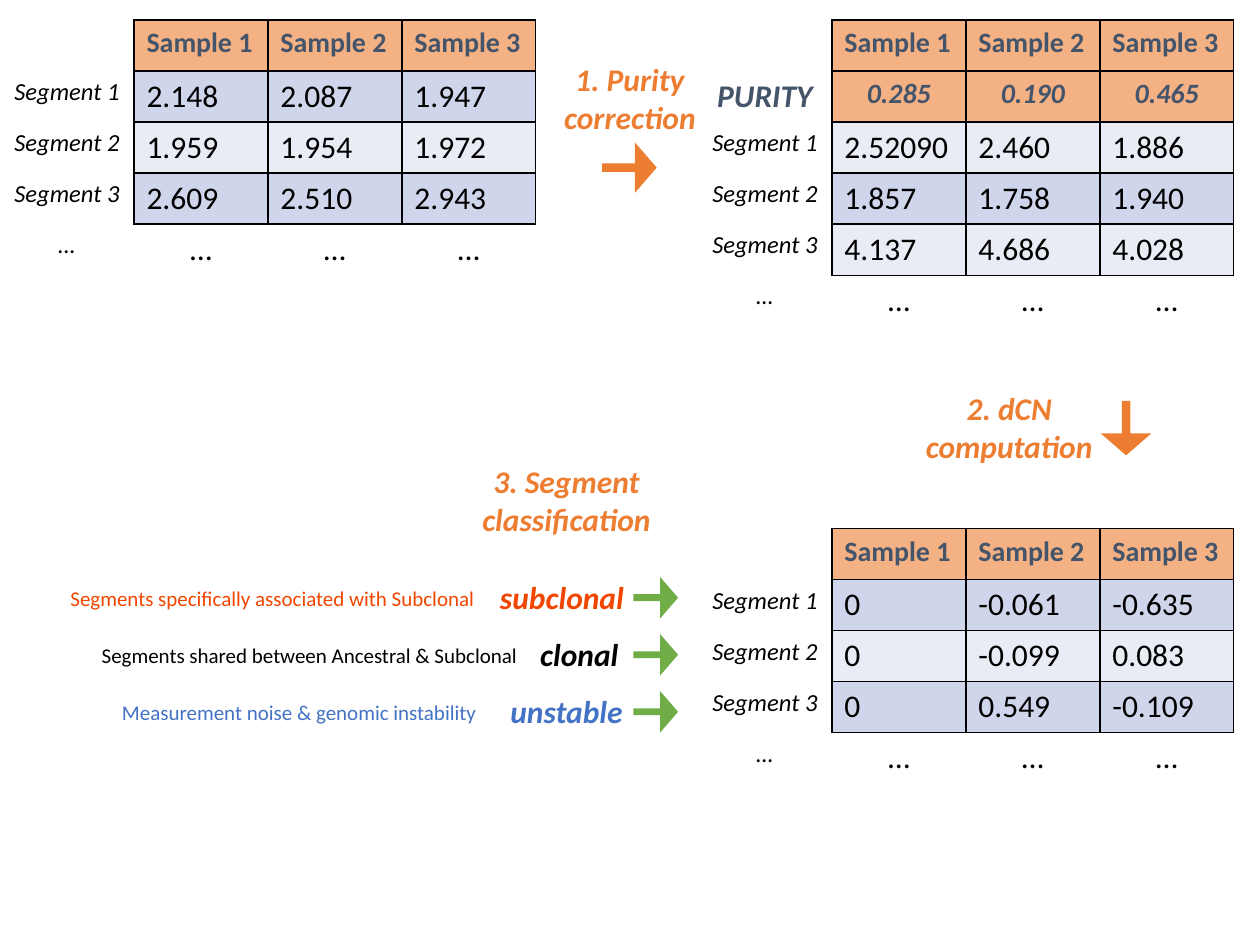
from lxml import etree
from pptx import Presentation
from pptx.dml.color import RGBColor
from pptx.enum.shapes import MSO_SHAPE
from pptx.enum.text import PP_ALIGN
from pptx.oxml.ns import qn
from pptx.util import Cm, Pt

RIGHT_ARROW = MSO_SHAPE.RIGHT_ARROW
LEFT, CENTER = PP_ALIGN.LEFT, PP_ALIGN.CENTER

FONT = "Calibri"
BLACK, SLATE, PEACH = "000000", "44546A", "F4B183"
ORANGE, GREEN, RED, BLUE = "ED7D31", "70AD47", "F14600", "4472C4"
BANDS = ("E9EBF5", "CFD5EA")
COL_W, ROW_H = 2.7, 1.03
SAMPLES = ["", "Sample 1", "Sample 2", "Sample 3"]
MORE = ["…"] * 4


def rgb(value):
    return RGBColor.from_string(value)


def write(tf, text, size=18, color=BLACK, bold=False, italic=False, align=LEFT):
    """Fill a text frame, one paragraph for each line of text."""
    for i, line in enumerate(text.split("\n")):
        p = tf.paragraphs[0] if i == 0 else tf.add_paragraph()
        p.alignment = align
        r = p.add_run()
        r.text = line
        r.font.name, r.font.size = FONT, Pt(size)
        r.font.bold, r.font.italic = bold, italic
        r.font.color.rgb = rgb(color)


def add_text(shapes, box, text, **fmt):
    tf = shapes.add_textbox(*map(Cm, box)).text_frame
    tf.word_wrap = False
    write(tf, text, **fmt)


def add_arrow(shapes, box, color, rotation=0):
    s = shapes.add_shape(RIGHT_ARROW, *map(Cm, box))
    s.adjustments[0], s.adjustments[1] = 0.166, 0.433
    s.rotation = rotation
    s.shadow.inherit = False
    s.fill.solid()
    s.fill.fore_color.rgb = rgb(color)
    s.line.fill.background()


def set_borders(cell, sides):
    """Draw the named sides (from LRTB) in black and clear the others."""
    tc_pr = cell._tc.get_or_add_tcPr()
    for i, side in enumerate("LRTB"):
        ln = etree.Element(qn(f"a:ln{side}"), w=str(Pt(1)))
        if side in sides:
            fill = etree.SubElement(ln, qn("a:solidFill"))
            etree.SubElement(fill, qn("a:srgbClr"), val=BLACK)
        else:
            etree.SubElement(ln, qn("a:noFill"))
        tc_pr.insert(i, ln)


def cell_format(kind, is_label):
    if kind == "header":
        return dict(size=16, color=SLATE, bold=True)
    if kind == "purity":
        return dict(size=18 if is_label else 16, color=SLATE, bold=True,
                    italic=True, align=CENTER)
    if is_label:
        return dict(size=14, italic=True, align=CENTER)
    return dict(align=CENTER if kind == "more" else LEFT)


def row_kind(r, label, last):
    if r == 0:
        return "header"
    if r == last:
        return "more"
    return "purity" if label == "PURITY" else "segment"


def add_segment_table(shapes, left, top, body):
    rows = [SAMPLES, *body, MORE]
    n_rows, n_cols = len(rows), len(SAMPLES)
    table = shapes.add_table(n_rows, n_cols, Cm(left), Cm(top),
                             Cm(COL_W * n_cols), Cm(ROW_H * n_rows)).table
    table.first_row = table.horz_banding = False
    for col in table.columns:
        col.width = Cm(COL_W)
    for r, values in enumerate(rows):
        table.rows[r].height = Cm(ROW_H)
        kind = row_kind(r, values[0], n_rows - 1)
        for c, value in enumerate(values):
            cell = table.cell(r, c)
            if value:
                write(cell.text_frame, value, **cell_format(kind, c == 0))
            if c == 0 or kind == "more":
                cell.fill.background()
                sides = "T" if c else "" if kind == "more" else "R"
            else:
                cell.fill.solid()
                fill = BANDS[r % 2] if kind == "segment" else PEACH
                cell.fill.fore_color.rgb = rgb(fill)
                sides = "LRTB"
            set_borders(cell, sides)


def add_step(shapes, box, title, arrow=None, rotation=0):
    """Place a step title; arrow is its offset from the top left of the box."""
    if arrow:
        shapes = shapes.add_group_shape().shapes
        add_arrow(shapes, (box[0] + arrow[0], box[1] + arrow[1], 1.1, 1.02),
                  ORANGE, rotation)
    add_text(shapes, box, title, color=ORANGE, bold=True, italic=True, align=CENTER)


def add_classes(shapes, top, pitch, classes):
    """Stack the segment classes, each with a note, a name and an arrow."""
    for i, (name, note, color, name_x, name_w, note_x, note_w) in enumerate(classes):
        y = top + i * pitch
        group = shapes.add_group_shape().shapes
        add_arrow(group, (12.77, y + 0.1, 0.9, 0.84), GREEN)
        add_text(group, (name_x, y, name_w, 1.03), name,
                 color=color, bold=True, italic=True)
        add_text(group, (note_x, y + 0.15, note_w, 0.77), note, size=12, color=color)


def main():
    prs = Presentation()
    prs.slide_width, prs.slide_height = Cm(25.4), Cm(19.05)
    shapes = prs.slides.add_slide(prs.slide_layouts[6]).shapes

    add_segment_table(shapes, 0, 0.4, [
        ["Segment 1", "2.148", "2.087", "1.947"],
        ["Segment 2", "1.959", "1.954", "1.972"],
        ["Segment 3", "2.609", "2.510", "2.943"],
    ])
    add_step(shapes, (11.1, 1.09, 3.2, 1.8), "1. Purity\ncorrection", arrow=(1.04, 1.78))
    add_segment_table(shapes, 14.07, 0.4, [
        ["PURITY", "0.285", "0.190", "0.465"],
        ["Segment 1", "2.52090", "2.460", "1.886"],
        ["Segment 2", "1.857", "1.758", "1.940"],
        ["Segment 3", "4.137", "4.686", "4.028"],
    ])
    add_step(shapes, (18.39, 7.72, 3.91, 1.8), "2. dCN\ncomputation",
             arrow=(3.76, 0.4), rotation=90)
    add_segment_table(shapes, 14.07, 10.65, [
        ["Segment 1", "0", "-0.061", "-0.635"],
        ["Segment 2", "0", "-0.099", "0.083"],
        ["Segment 3", "0", "0.549", "-0.109"],
    ])
    add_step(shapes, (9.45, 9.19, 3.94, 1.8), "3. Segment\nclassification")
    add_classes(shapes, 11.53, 1.15, [
        ("subclonal", "Segments specifically associated with Subclonal",
         RED, 9.83, 3.02, 1.17, 8.76),
        ("clonal", "Segments shared between Ancestral & Subclonal",
         BLACK, 10.64, 2.08, 1.8, 8.99),
        ("unstable", "Measurement noise & genomic instability",
         BLUE, 10.04, 2.79, 2.21, 7.82),
    ])
    prs.save("out.pptx")


if __name__ == "__main__":
    main()
